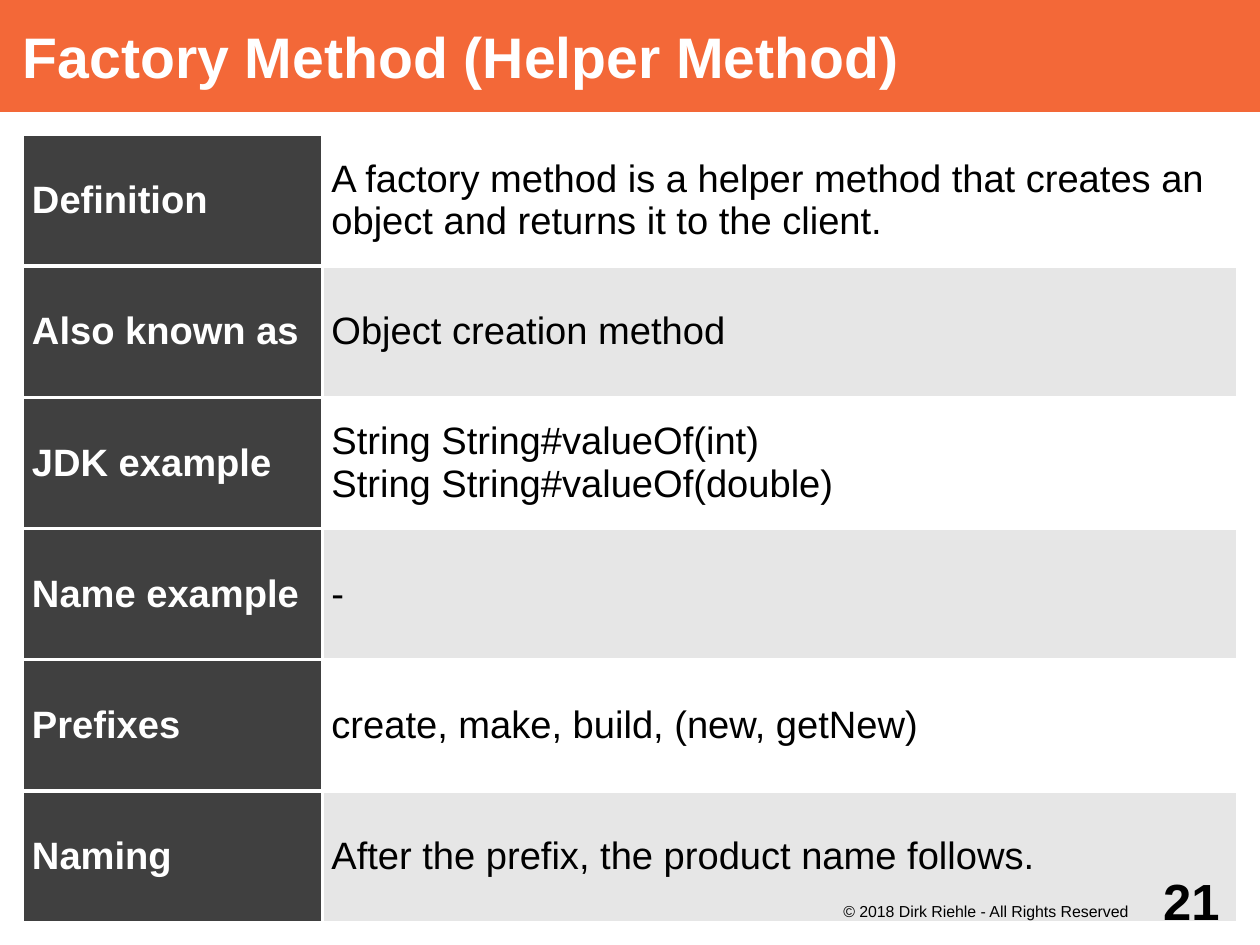
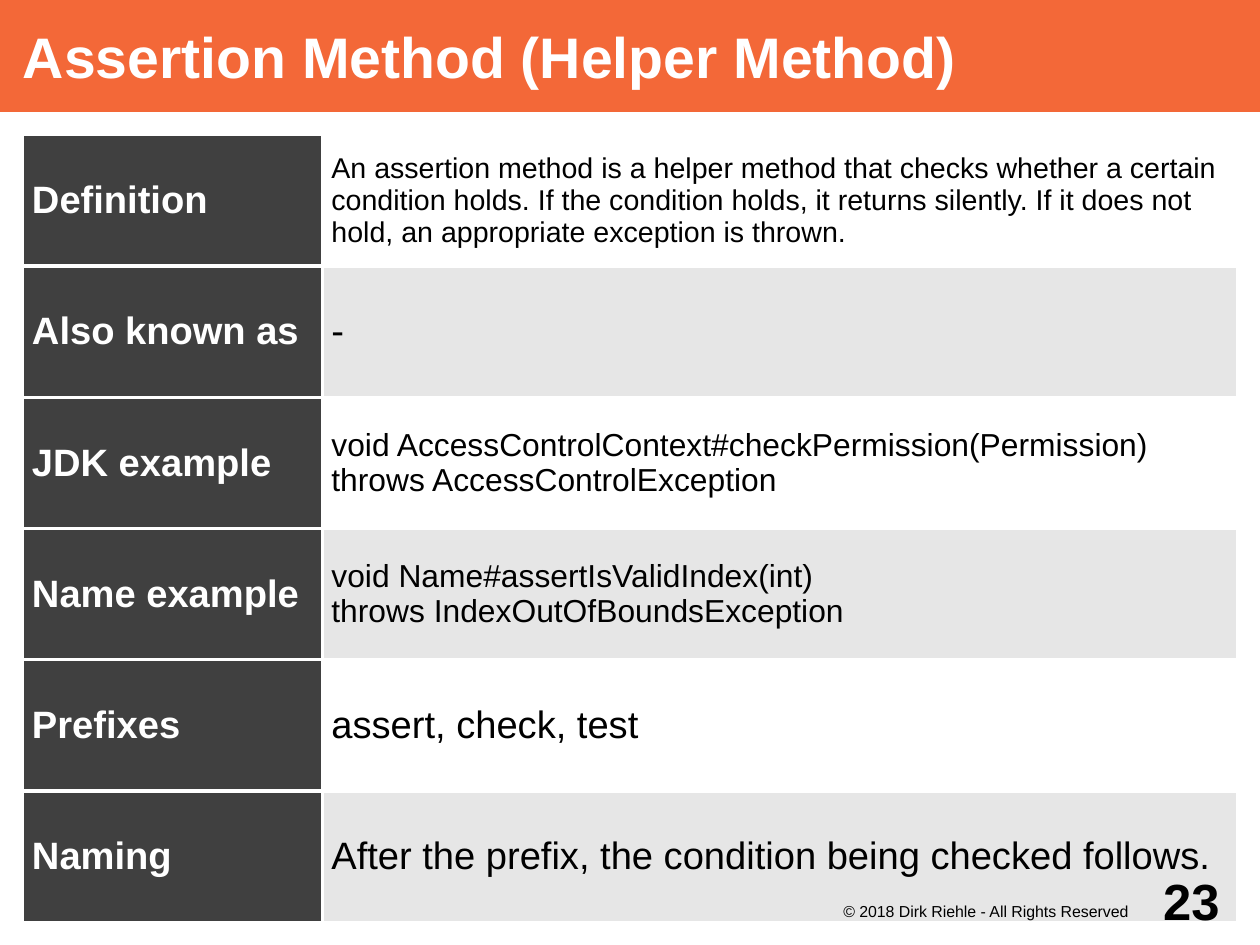
"""Build two slides that describe kinds of helper methods in a table."""
from lxml.etree import SubElement
from pptx import Presentation
from pptx.dml.color import RGBColor
from pptx.enum.shapes import MSO_SHAPE
from pptx.enum.text import MSO_ANCHOR, PP_ALIGN
from pptx.oxml.ns import qn
from pptx.util import Inches, Pt

ORANGE = RGBColor(0xF3, 0x68, 0x38)
DARK_GRAY = RGBColor(0x40, 0x40, 0x40)
LIGHT_GRAY = RGBColor(0xE6, 0xE6, 0xE6)
WHITE = RGBColor(0xFF, 0xFF, 0xFF)
BLACK = RGBColor(0x00, 0x00, 0x00)
FONT = "Arial"
CM_PER_INCH = 2.54
COPYRIGHT = "© 2018 Dirk Riehle - All Rights Reserved"
LABELS = ["Definition", "Also known as", "JDK example", "Name example", "Prefixes", "Naming"]

SLIDES = [
    ("Factory Method (Helper Method)", 21, [
        (["A factory method is a helper method that creates an object and returns it to the client."], 24),
        (["Object creation method"], 24),
        (["String String#valueOf(int)", "String String#valueOf(double)"], 24),
        (["-"], 24),
        (["create, make, build, (new, getNew)"], 24),
        (["After the prefix, the product name follows."], 24),
    ]),
    ("Assertion Method (Helper Method)", 23, [
        (["An assertion method is a helper method that checks whether a certain condition holds. "
          "If the condition holds, it returns silently. If it does not hold, "
          "an appropriate exception is thrown."], 18),
        (["-"], 24),
        (["void AccessControlContext#checkPermission(Permission)",
          "throws AccessControlException"], 20),
        (["void Name#assertIsValidIndex(int)\nthrows IndexOutOfBoundsException"], 20),
        (["assert, check, test"], 24),
        (["After the prefix, the condition being checked follows."], 24),
    ]),
]


def write_paragraphs(frame, texts, size, color, bold=False, align=PP_ALIGN.LEFT):
    frame.word_wrap = True
    for index, text in enumerate(texts):
        paragraph = frame.add_paragraph() if index else frame.paragraphs[0]
        paragraph.alignment = align
        for line_index, line in enumerate(text.split("\n")):
            if line_index:
                paragraph.add_line_break()
            run = paragraph.add_run()
            run.text = line
            run.font.name = FONT
            run.font.size = Pt(size)
            run.font.bold = bold
            run.font.color.rgb = color


def style_cell(cell, fill):
    cell.vertical_anchor = MSO_ANCHOR.MIDDLE
    cell.margin_left = cell.margin_right = Inches(0.08)
    cell.margin_top = cell.margin_bottom = Inches(0.05)
    properties = cell._tc.get_or_add_tcPr()
    for side in ("a:lnL", "a:lnR", "a:lnT", "a:lnB"):
        border = SubElement(properties, qn(side), w=str(Pt(2.27)))
        SubElement(SubElement(border, qn("a:solidFill")), qn("a:srgbClr"), val=str(WHITE))
    cell.fill.solid()
    cell.fill.fore_color.rgb = fill


presentation = Presentation()
presentation.slide_width = Inches(28 / CM_PER_INCH)
presentation.slide_height = Inches(21 / CM_PER_INCH)

for title, number, entries in SLIDES:
    slide = presentation.slides.add_slide(presentation.slide_layouts[6])

    band = slide.shapes.add_shape(MSO_SHAPE.RECTANGLE, 0, 0, presentation.slide_width, Inches(0.98))
    band.shadow.inherit = False
    band.fill.solid()
    band.fill.fore_color.rgb = ORANGE
    band.line.fill.background()
    frame = band.text_frame
    frame.margin_left = Inches(0.2)
    frame.margin_top = frame.margin_right = frame.margin_bottom = 0
    frame.vertical_anchor = MSO_ANCHOR.MIDDLE
    write_paragraphs(frame, [title], 36, WHITE, bold=True)

    table = slide.shapes.add_table(
        len(LABELS), 2, Inches(0.2), Inches(1.18), Inches(10.63), Inches(6.89)).table
    table.first_row = table.horz_banding = False
    table.columns[0].width = Inches(2.62)
    table.columns[1].width = Inches(8.01)
    for row, (label, (texts, size)) in enumerate(zip(LABELS, entries)):
        label_cell, entry_cell = table.cell(row, 0), table.cell(row, 1)
        style_cell(label_cell, DARK_GRAY)
        style_cell(entry_cell, LIGHT_GRAY if row % 2 else WHITE)
        write_paragraphs(label_cell.text_frame, [label], 24, WHITE, bold=True)
        write_paragraphs(entry_cell.text_frame, texts, size, BLACK)

    footer = slide.shapes.add_textbox(Inches(7.09), Inches(7.87), Inches(3.15), Inches(0.39))
    frame = footer.text_frame
    frame.margin_left = frame.margin_bottom = 0
    frame.margin_top = Inches(0.02)
    frame.margin_right = Inches(0.37)
    write_paragraphs(frame, [COPYRIGHT], 10, BLACK, align=PP_ALIGN.RIGHT)

    page = slide.shapes.add_textbox(Inches(10.04), Inches(7.48), Inches(0.98), Inches(0.79))
    frame = page.text_frame
    frame.margin_left = frame.margin_top = frame.margin_bottom = 0
    frame.margin_right = Inches(0.35)
    frame.vertical_anchor = MSO_ANCHOR.MIDDLE
    write_paragraphs(frame, [str(number)], 32, BLACK, bold=True, align=PP_ALIGN.RIGHT)

presentation.save("out.pptx")
